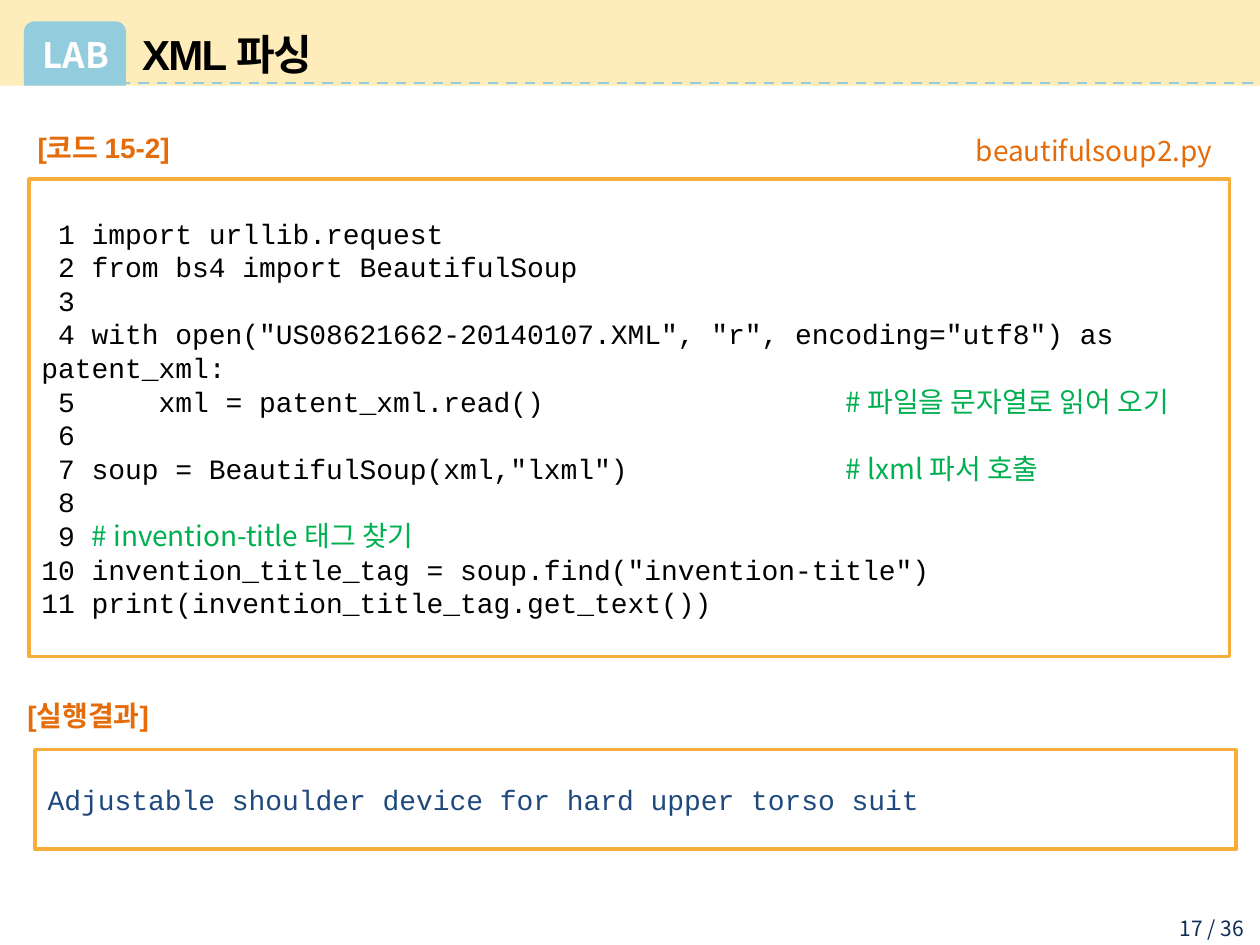
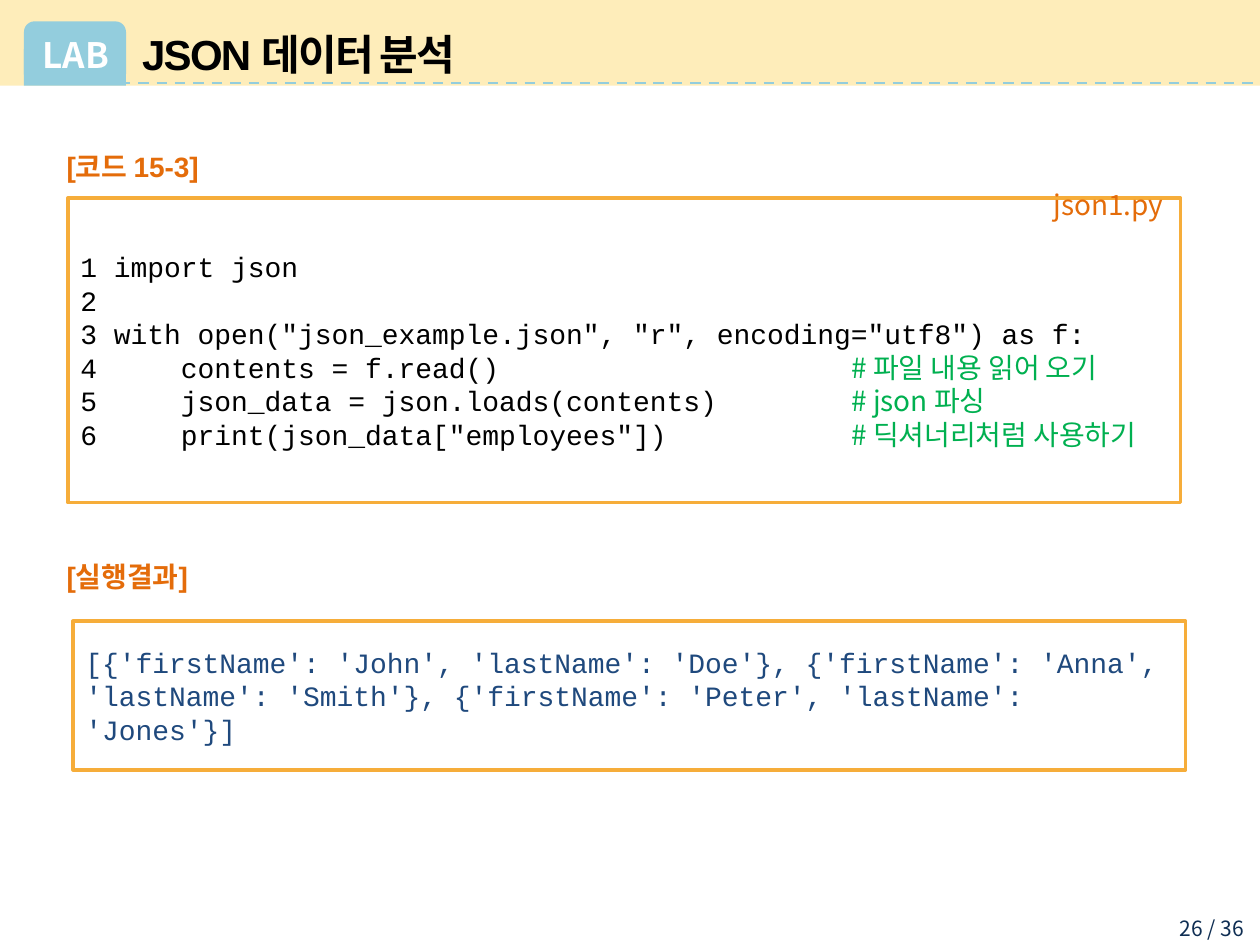
"""Build two LAB slides showing Python code for XML and JSON parsing."""
from lxml.etree import SubElement
from pptx import Presentation
from pptx.dml.color import RGBColor
from pptx.enum.dml import MSO_LINE
from pptx.enum.shapes import MSO_CONNECTOR, MSO_SHAPE
from pptx.enum.text import MSO_ANCHOR, PP_ALIGN
from pptx.oxml.ns import qn
from pptx.util import Inches, Pt

KOREAN, HEAD, MONO = "Noto Sans CJK KR", "Arial", "Courier New"
BAND, TAB, FRAME = "FEEDBA", "93CDDD", "F6AD3A"
BLACK, WHITE, PAGE = "000000", "FFFFFF", "0F2E53"
LABEL, COMMENT, RESULT = "E46C0A", "00B050", "1F497D"
TOTAL = 36


def rgb(color):
    return RGBColor.from_string(color)


def write(sp, lines, anchor=MSO_ANCHOR.MIDDLE, align=PP_ALIGN.LEFT, wrap=True, spacing=None):
    tf = sp.text_frame
    tf.word_wrap = wrap
    tf.vertical_anchor = anchor
    for i, runs in enumerate(lines):
        p = tf.add_paragraph() if i else tf.paragraphs[0]
        p.alignment = align
        if spacing:
            p.line_spacing = Pt(spacing)
        for text, size, font, color, bold in runs:
            r = p.add_run()
            r.text = text
            r.font.size = Pt(size)
            r.font.name = font
            r.font.bold = bold
            r.font.color.rgb = rgb(color)
            SubElement(r.font._element, qn("a:ea"), typeface=KOREAN)


slides = [
    {
        "title": "XML 파싱", "page": 17,
        "label": "[코드 15-2]", "label_at": (0.2, 0.92, 1.8, 0.5),
        "file": "beautifulsoup2.py", "file_at": (7.52, 1.01, 2.2, 0.37),
        "code_at": (0.23, 1.42, 9.53, 3.79),
        "code": [
            "import urllib.request",
            "from bs4 import BeautifulSoup",
            "",
            'with open("US08621662-20140107.XML", "r", encoding="utf8") as patent_xml:',
            "    xml = patent_xml.read()                  # 파일을 문자열로 읽어 오기",
            "",
            'soup = BeautifulSoup(xml,"lxml")             # lxml 파서 호출',
            "",
            "# invention-title 태그 찾기",
            'invention_title_tag = soup.find("invention-title")',
            "print(invention_title_tag.get_text())",
        ],
        "result_label_at": (0.12, 5.4, 1.8, 0.55),
        "result_at": (0.28, 5.95, 9.53, 0.79),
        "result": "Adjustable shoulder device for hard upper torso suit",
    },
    {
        "title": "JSON 데이터 분석", "page": 26,
        "label": "[코드 15-3]", "label_at": (0.43, 1.07, 1.67, 0.5),
        "file": "json1.py", "file_at": (8.24, 1.44, 1.09, 0.37),
        "code_at": (0.54, 1.57, 8.83, 2.42),
        "code": [
            "import json",
            "",
            'with open("json_example.json", "r", encoding="utf8") as f:',
            "    contents = f.read()                     # 파일 내용 읽어 오기",
            "    json_data = json.loads(contents)        # json 파싱",
            '    print(json_data["employees"])           # 딕셔너리처럼 사용하기',
        ],
        "result_label_at": (0.43, 4.3, 1.67, 0.55),
        "result_at": (0.58, 4.93, 8.83, 1.18),
        "result": "[{'firstName': 'John', 'lastName': 'Doe'}, "
                  "{'firstName': 'Anna', 'lastName': 'Smith'}, "
                  "{'firstName': 'Peter', 'lastName': 'Jones'}]",
    },
]

prs = Presentation()
prs.slide_width, prs.slide_height = Inches(10), Inches(7.5)

for data in slides:
    s = prs.slides.add_slide(prs.slide_layouts[6])

    for kind, color, box in [
        (MSO_SHAPE.RECTANGLE, BAND, (0, 0, 10, 0.68)),
        (MSO_SHAPE.ROUNDED_RECTANGLE, TAB, (0.19, 0.17, 0.81, 0.5)),
        (MSO_SHAPE.RECTANGLE, TAB, (0.19, 0.39, 0.81, 0.29)),
    ]:
        sp = s.shapes.add_shape(kind, *map(Inches, box))
        sp.shadow.inherit = False
        sp.fill.solid()
        sp.fill.fore_color.rgb = rgb(color)
        sp.line.fill.background()

    line = s.shapes.add_connector(
        MSO_CONNECTOR.STRAIGHT, Inches(0.95), Inches(0.66), Inches(9.97), Inches(0.66))
    line.line.color.rgb = rgb(TAB)
    line.line.width = Pt(1.5)
    line.line.dash_style = MSO_LINE.DASH
    SubElement(line._element.spPr, qn("a:effectLst"))

    sp = s.shapes.add_textbox(*map(Inches, (0.24, 0.19, 0.68, 0.48)))
    write(sp, [[("LAB", 20, KOREAN, WHITE, True)]], wrap=False)
    sp.text_frame.margin_right = 0

    sp = s.shapes.add_textbox(*map(Inches, (1.03, 0.21, 8.97, 0.43)))
    write(sp, [[(data["title"], 24, HEAD, BLACK, True)]])
    sp.text_frame.paragraphs[0].runs[0].font._element.set("spc", "-100")

    sp = s.shapes.add_textbox(*map(Inches, (9.05, 7.22, 0.92, 0.23)))
    write(sp, [[(f"{data['page']} / {TOTAL}", 12, KOREAN, PAGE, False)]],
          anchor=MSO_ANCHOR.TOP, align=PP_ALIGN.RIGHT)

    digits = len(str(len(data["code"])))
    code = []
    for number, text in enumerate(data["code"], 1):
        statement, mark, comment = text.partition("#")
        numbered = f"{number:>{digits}} {statement}"
        runs = [(numbered if text else numbered.rstrip(), 16, MONO, BLACK, False)]
        if mark:
            runs.append((mark + comment, 16, KOREAN, COMMENT, False))
        code.append(runs)
    result = [[(data["result"], 16, MONO, RESULT, False)]]

    for box, lines in [(data["code_at"], code), (data["result_at"], result)]:
        sp = s.shapes.add_shape(MSO_SHAPE.RECTANGLE, *map(Inches, box))
        sp.shadow.inherit = False
        sp.fill.background()
        sp.line.color.rgb = rgb(FRAME)
        sp.line.width = Pt(2)
        write(sp, lines, spacing=19.2)

    for box, text in [(data["label_at"], data["label"]),
                      (data["result_label_at"], "[실행결과]")]:
        sp = s.shapes.add_textbox(*map(Inches, box))
        write(sp, [[(text, 16, HEAD, LABEL, True)]], wrap=False)

    sp = s.shapes.add_textbox(*map(Inches, data["file_at"]))
    write(sp, [[(data["file"], 16, KOREAN, LABEL, False)]],
          anchor=MSO_ANCHOR.TOP, align=PP_ALIGN.RIGHT, wrap=False, spacing=19.2)

prs.save("out.pptx")
